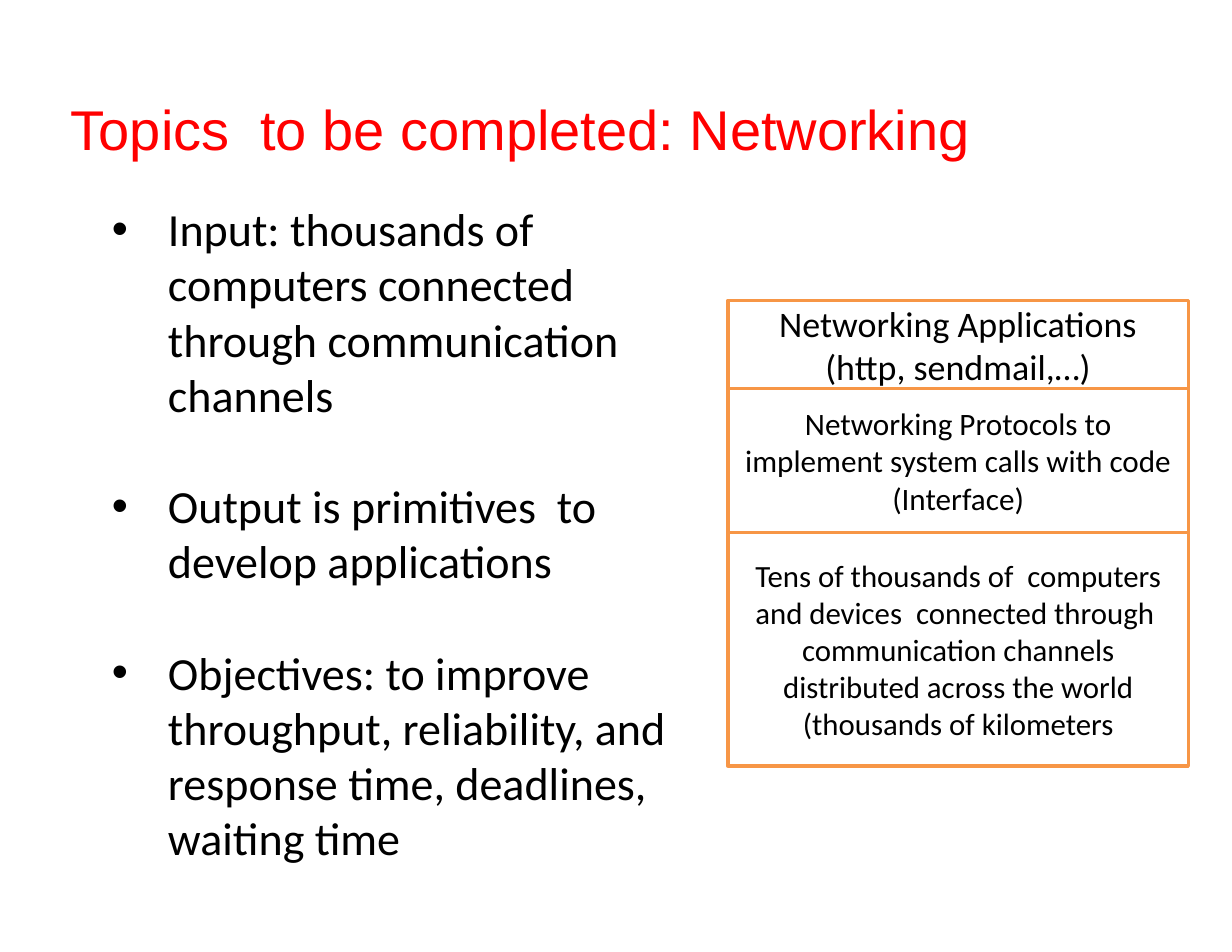
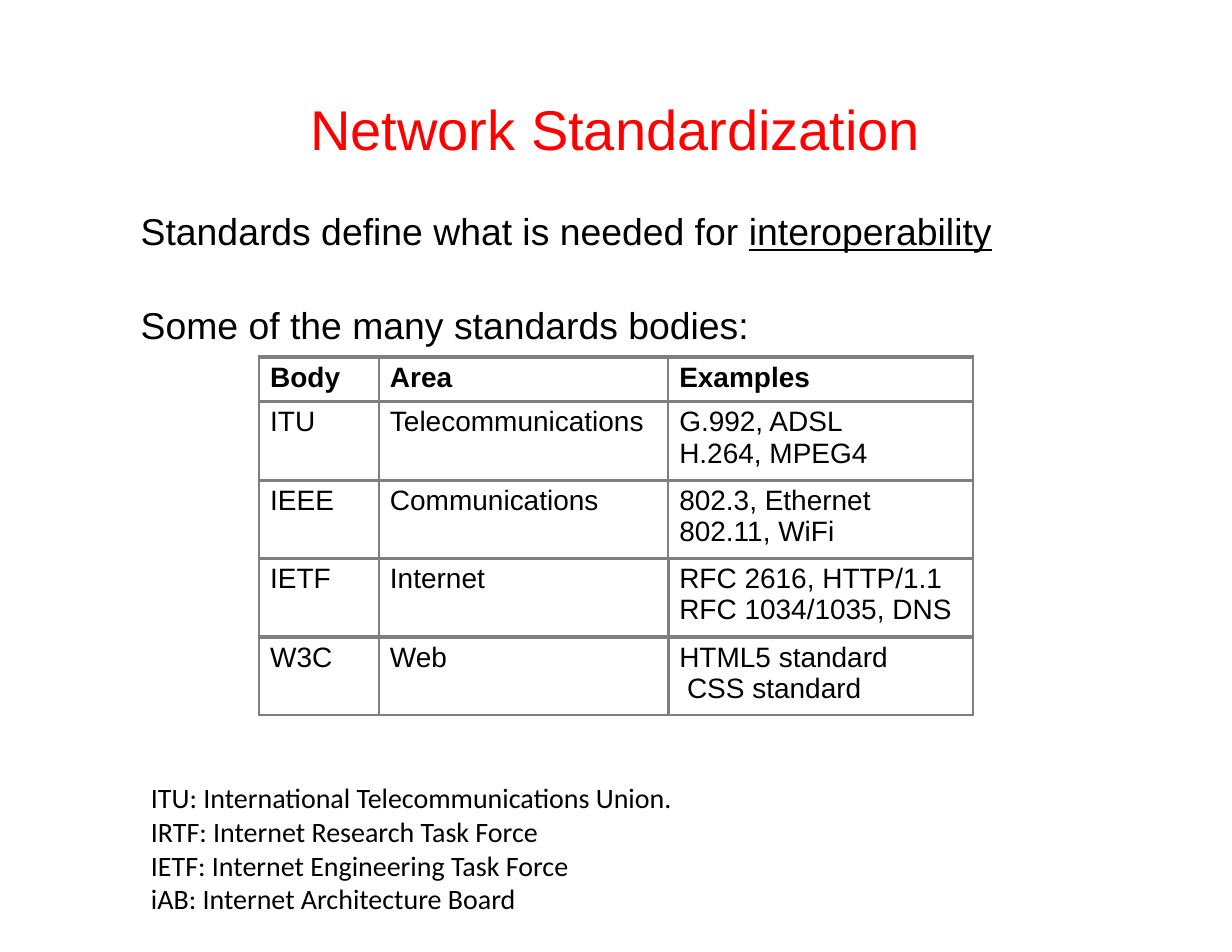
from pptx import Presentation
from pptx.dml.color import RGBColor
from pptx.enum.shapes import MSO_SHAPE as Preset
from pptx.enum.text import MSO_ANCHOR as Anchor, PP_ALIGN as Align
from pptx.oxml.ns import qn
from pptx.util import Pt
from lxml.etree import SubElement

RED = RGBColor(0xFF, 0x00, 0x00)
BLACK = RGBColor(0x00, 0x00, 0x00)
WHITE = RGBColor(0xFF, 0xFF, 0xFF)
ORANGE = RGBColor(0xF7, 0x96, 0x46)
GREY = RGBColor(0x7F, 0x7F, 0x7F)
HEADING_FONT, BODY_FONT = "Arial", "Calibri"


def write(frame, text, font=BODY_FONT, size=18, color=BLACK, bold=False, align=Align.LEFT,
          margins=(0, 0, 0, 0), anchor=Anchor.TOP, gap=0, bullet_indent=0, underlined=""):
    """Write one paragraph per line of text; margins are left, top, right, bottom."""
    frame.word_wrap = True
    frame.vertical_anchor = anchor
    (frame.margin_left, frame.margin_top,
     frame.margin_right, frame.margin_bottom) = [Pt(margin) for margin in margins]
    for number, line in enumerate(text.split("\n")):
        paragraph = frame.add_paragraph() if number else frame.paragraphs[0]
        paragraph.alignment = align
        if number and gap:
            paragraph.space_before = Pt(gap)
        if bullet_indent:
            properties = paragraph._p.get_or_add_pPr()
            properties.set("marL", str(Pt(bullet_indent)))
            properties.set("indent", str(-Pt(bullet_indent)))
            SubElement(properties, qn("a:buFont"), typeface="Arial")
            SubElement(properties, qn("a:buChar"), char="•")
        parts = line.partition(underlined) if underlined else [line]
        for part in filter(None, parts):
            run = paragraph.add_run()
            run.text = part
            run.font.name, run.font.size, run.font.bold = font, Pt(size), bold
            run.font.color.rgb = color
            if part == underlined:
                run.font.underline = True


def add_text(slide, text, left, top, width, height, **style):
    box = slide.shapes.add_textbox(Pt(left), Pt(top), Pt(width), Pt(height))
    write(box.text_frame, text, **style)


TITLE = dict(font=HEADING_FONT, size=36, color=RED, margins=(0, 3, 0, 0))

deck = Presentation()
deck.slide_width, deck.slide_height = Pt(792), Pt(612)
blank = deck.slide_layouts[6]

# Slide 1: networking topics
networking = deck.slides.add_slide(blank)
add_text(networking, "Topics  to be completed: Networking", 45.5, 57.5, 662, 73, **TITLE)

topics = """Input: thousands of computers connected through communication channels
Output is primitives  to develop applications
Objectives: to improve throughput, reliability, and response time, deadlines, waiting time"""
add_text(networking, topics, 72, 129, 360, 411, size=29.6, gap=36, bullet_indent=36)

# Stack of network layers, from top to bottom
layers = [
    ("Networking Applications (http, sendmail,…)", 56.5, 23.1),
    ("Networking Protocols to implement system calls with code (Interface)", 93, 20),
    ("Tens of thousands of  computers and devices  connected through  communication "
     "channels distributed across the world (thousands of kilometers", 150, 19.8),
]
layer_top = 193
for label, height, size in layers:
    layer = networking.shapes.add_shape(Preset.RECTANGLE, Pt(468), Pt(layer_top), Pt(296), Pt(height))
    layer.shadow.inherit = False
    layer.fill.solid()
    layer.fill.fore_color.rgb = WHITE
    layer.line.color.rgb = ORANGE
    layer.line.width = Pt(2)
    write(layer.text_frame, label, size=size, align=Align.CENTER, anchor=Anchor.MIDDLE,
          margins=(6, 3, 6, 3))
    layer_top += height

# Slide 2: standards bodies
standards = deck.slides.add_slide(blank)
add_text(standards, "Network Standardization", 199.5, 57.5, 400, 46, **TITLE)
add_text(standards, "Standards define what is needed for interoperability\n"
         "Some of the many standards bodies:", 90.5, 131, 560, 89,
         font=HEADING_FONT, size=24, margins=(0, 3, 0, 0), gap=31.5,
         underlined="interoperability")

# Table of bodies
bodies = [
    ("Body", "Area", "Examples"),
    ("ITU", "Telecommunications", "G.992, ADSL\nH.264, MPEG4"),
    ("IEEE", "Communications", "802.3, Ethernet\n802.11, WiFi"),
    ("IETF", "Internet", "RFC 2616, HTTP/1.1\nRFC 1034/1035, DNS"),
    ("W3C", "Web", "HTML5 standard\n CSS standard"),
]
column_widths = [77, 186, 196]
row_heights = [28.8] + [50.4] * 4
THIN, THICK = 1.5, 2.25
table = standards.shapes.add_table(len(bodies), len(column_widths), Pt(166.5), Pt(229.5),
                                   Pt(sum(column_widths)), Pt(sum(row_heights))).table
table.first_row = table.horz_banding = False
for column, width in zip(table.columns, column_widths):
    column.width = Pt(width)
for row, height in zip(table.rows, row_heights):
    row.height = Pt(height)

for row_number, body in enumerate(bodies):
    for column_number, entry in enumerate(body):
        cell = table.cell(row_number, column_number)
        write(cell.text_frame, entry, font=HEADING_FONT, bold=row_number == 0)
        cell.margin_left, cell.margin_top = Pt(7.2), Pt(3)
        cell.margin_right = cell.margin_bottom = 0
        divider = THICK if row_number >= 3 else THIN
        edges = {
            "a:lnL": divider if column_number == 2 else THIN,
            "a:lnR": divider if column_number == 1 else THIN,
            "a:lnT": THICK,
            "a:lnB": THIN if row_number == len(bodies) - 1 else THICK,
        }
        for edge, weight in edges.items():
            border = SubElement(cell._tc.get_or_add_tcPr(), qn(edge), w=str(Pt(weight)))
            SubElement(SubElement(border, qn("a:solidFill")), qn("a:srgbClr"), val=str(GREY))
        cell.fill.background()

# Abbreviations
abbreviations = """ITU: International Telecommunications Union.
IRTF: Internet Research Task Force
IETF: Internet Engineering Task Force
iAB: Internet Architecture Board"""
add_text(standards, abbreviations, 90, 498.5, 380, 100, margins=(7.2, 3.6, 7.2, 3.6))

deck.save("out.pptx")
